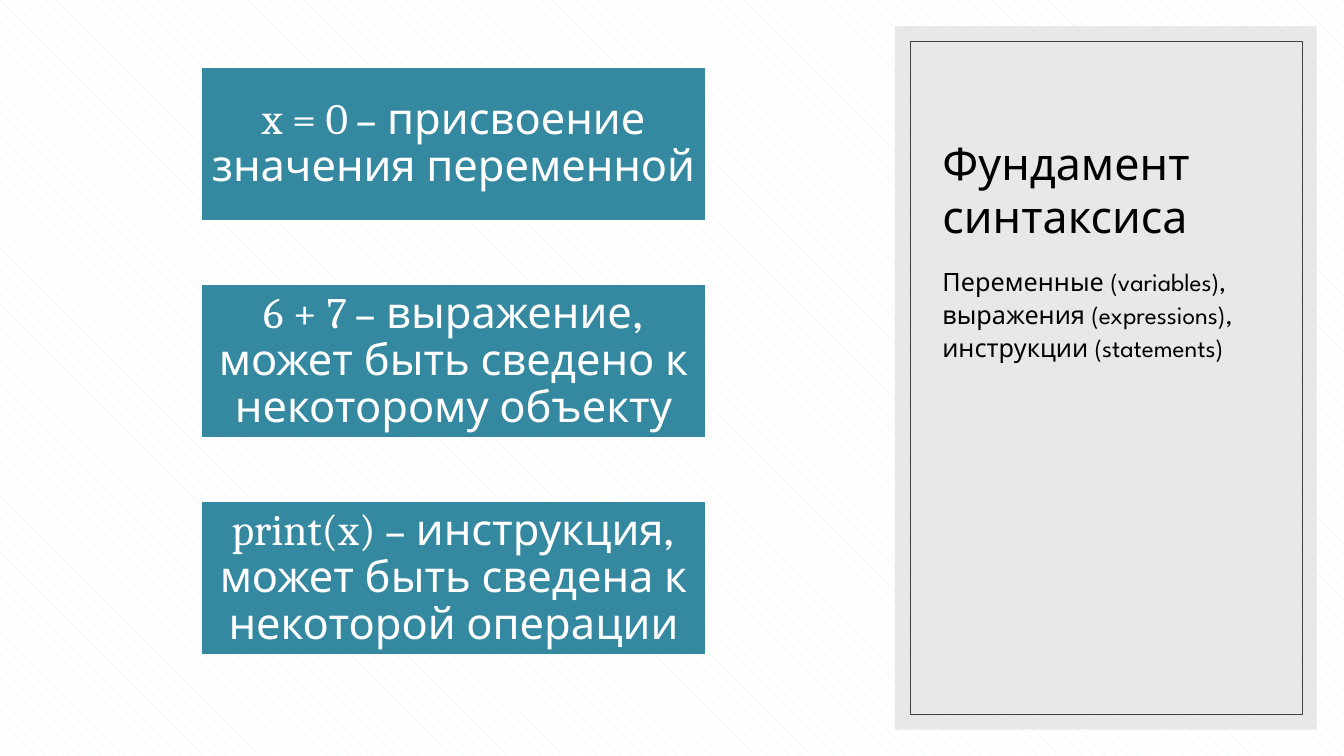
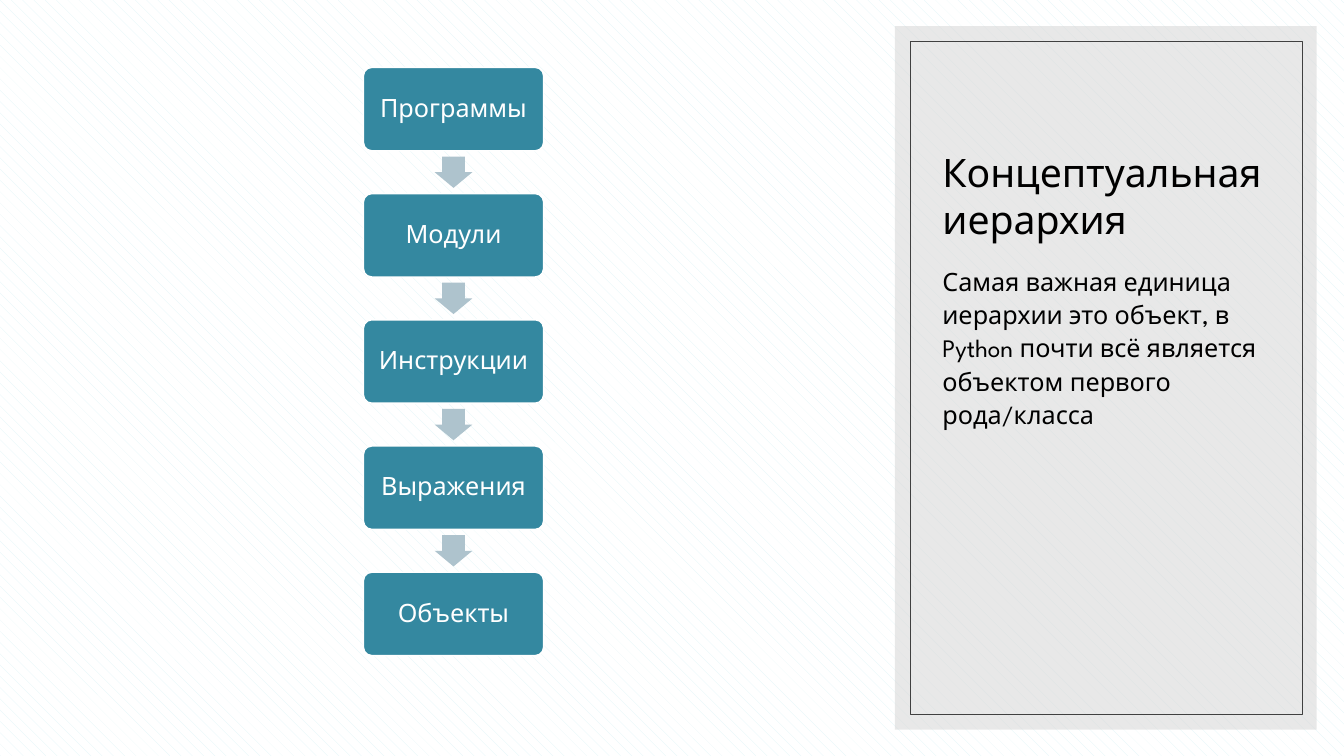
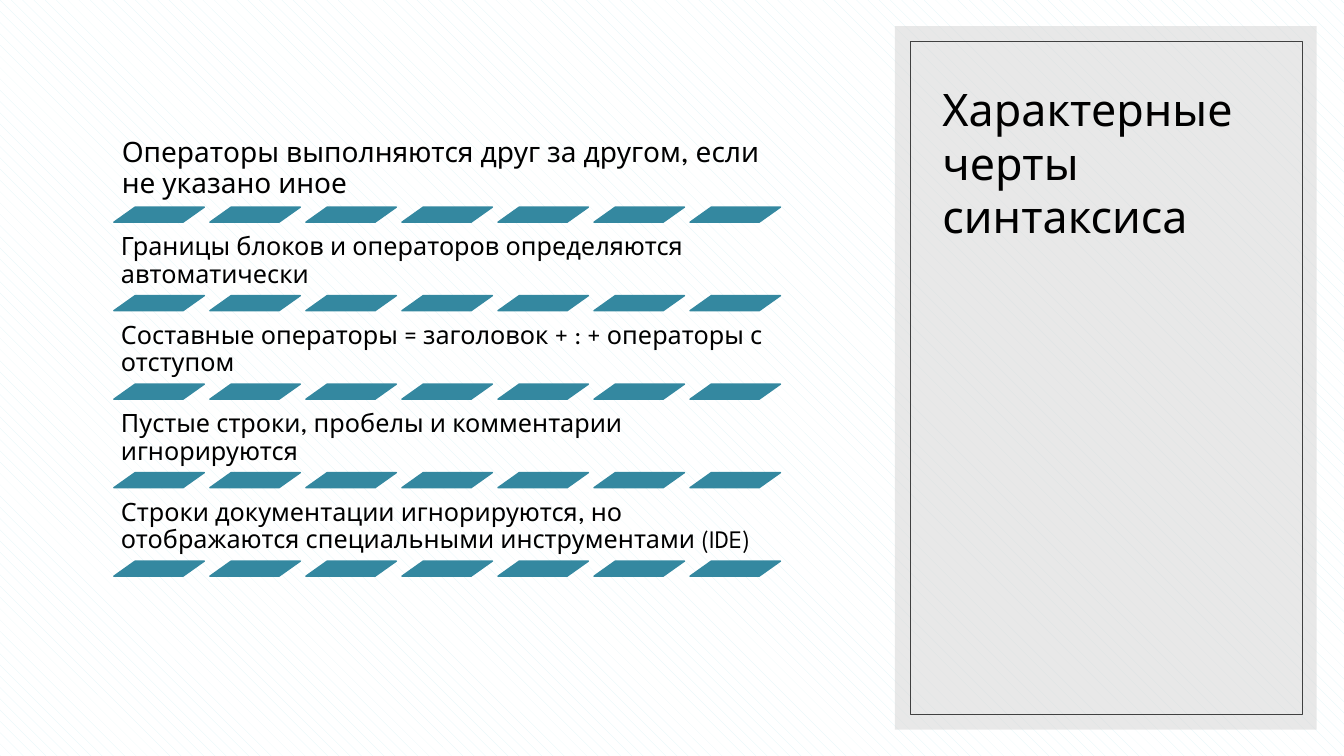
import pptx
import pptx.dml.color
import pptx.enum.dml
import pptx.enum.shapes
import pptx.enum.text
import pptx.oxml
import pptx.oxml.ns
import pptx.util

Cm, Pt = pptx.util.Cm, pptx.util.Pt
RGBColor = pptx.dml.color.RGBColor
SHAPE = pptx.enum.shapes.MSO_SHAPE
ANCHOR = pptx.enum.text.MSO_ANCHOR
ALIGN = pptx.enum.text.PP_ALIGN

# Content
SYNTAX = {
    "title": "Фундамент синтаксиса",
    "body": "Переменные (variables),\nвыражения (expressions), инструкции (statements)",
    "boxes": [
        ("x = 0 ", "– присвоение значения переменной"),
        ("6 + 7 ", "– выражение, может быть сведено к некоторому объекту"),
        ("print(x)", " – инструкция, может быть сведена к некоторой операции"),
    ],
}
HIERARCHY = {
    "title": "Концептуальная иерархия",
    "body": "Самая важная единица иерархии это объект, в Python почти всё "
            "является объектом первого рода/класса",
    "levels": ["Программы", "Модули", "Инструкции", "Выражения", "Объекты"],
}
FEATURES = {
    "title": "Характерные черты синтаксиса",
    "rows": [
        ("Операторы выполняются друг за другом, если не указано иное", 20),
        ("Границы блоков и операторов определяются автоматически", 18),
        ("Составные операторы = заголовок + : + операторы с отступом", 18),
        ("Пустые строки, пробелы и комментарии игнорируются", 18),
        ("Строки документации игнорируются, но отображаются "
         "специальными инструментами (IDE)", 18),
    ],
}

# Shared style
TEAL = RGBColor(0x34, 0x88, 0xA0)
ARROW = RGBColor(0xAE, 0xC3, 0xCD)
PANEL = RGBColor(0xD9, 0xD9, 0xD9)
FRAME = RGBColor(0x40, 0x40, 0x40)
HATCH = RGBColor(0xDE, 0xF4, 0xF7)
WHITE = RGBColor(0xFF, 0xFF, 0xFF)
BLACK = RGBColor(0, 0, 0)
FONT, CODE_FONT = "League Spartan", "Cambria"

CENTER_X = 11.43    # axis of the diagrams, cm
DIAGRAM_TOP = 1.7


def add_shape(s, kind, x, y, w, h, fill=None, line=None, width=1, adj=()):
    sp = s.shapes.add_shape(kind, Cm(x), Cm(y), Cm(w), Cm(h))
    sp.shadow.inherit = False
    for i, value in enumerate(adj):
        sp.adjustments[i] = value
    if fill is None:
        sp.fill.background()
    else:
        sp.fill.solid()
        sp.fill.fore_color.rgb = fill
    if line is None:
        sp.line.fill.background()
    else:
        sp.line.color.rgb = line
        sp.line.width = Pt(width)
    return sp


def set_text(sp, *texts, fonts=(FONT,), size=18, color=BLACK, align=ALIGN.LEFT,
             anchor=ANCHOR.TOP, spacing=1.0, inset=(0.25, 0.13)):
    """Write the texts as runs of one paragraph, one font for each."""
    tf = sp.text_frame
    tf.word_wrap = True
    tf.vertical_anchor = anchor
    tf.margin_left = tf.margin_right = Cm(inset[0])
    tf.margin_top = tf.margin_bottom = Cm(inset[1])
    p = tf.paragraphs[0]
    p.alignment = align
    p.line_spacing = spacing
    for text, font in zip(texts, fonts):
        for i, line in enumerate(text.split("\n")):
            if i:
                p.add_line_break()
            r = p.add_run()
            r.text = line
            r.font.name = font
            r.font.size = Pt(size)
            r.font.color.rgb = color


def add_box(s, x, y, w, h):
    return s.shapes.add_textbox(Cm(x), Cm(y), Cm(w), Cm(h))


def new_slide(prs, title, body=None, title_size=32):
    s = prs.slides.add_slide(prs.slide_layouts[6])
    fill = s.background.fill
    fill.patterned()
    fill.pattern = pptx.enum.dml.MSO_PATTERN.SHINGLE
    fill.fore_color.rgb = HATCH
    fill.back_color.rgb = WHITE

    # Side panel with its thin frame
    panel = add_shape(s, SHAPE.RECTANGLE, 22.55, 0.66, 10.63, 17.73, fill=PANEL)
    color = panel.fill._xPr.find(".//" + pptx.oxml.ns.qn("a:srgbClr"))
    color.append(pptx.oxml.parse_xml(
        "<a:alpha %s val='60000'/>" % pptx.oxml.ns.nsdecls("a")))
    add_shape(s, SHAPE.RECTANGLE, 22.94, 1.04, 9.88, 16.97, line=FRAME, width=0.5)

    set_text(add_box(s, 23.5, 1.68, 8.79, 4.57), title, size=title_size,
             anchor=ANCHOR.BOTTOM)
    if body:
        set_text(add_box(s, 23.5, 6.5, 8.79, 10), body, spacing=1.1)
    return s


def syntax_slide(prs):
    s = new_slide(prs, SYNTAX["title"], SYNTAX["body"])
    w, h, pitch = 12.7, 3.86, 5.47
    for i, texts in enumerate(SYNTAX["boxes"]):
        sp = add_shape(s, SHAPE.RECTANGLE, CENTER_X - w / 2, DIAGRAM_TOP + i * pitch,
                       w, h, fill=TEAL, line=WHITE)
        set_text(sp, *texts, fonts=(CODE_FONT, FONT), size=31, color=WHITE,
                 align=ALIGN.CENTER, anchor=ANCHOR.MIDDLE, spacing=0.9,
                 inset=(0.05, 0.05))


def hierarchy_slide(prs):
    s = new_slide(prs, HIERARCHY["title"], HIERARCHY["body"], title_size=28)
    w, h, pitch = 4.54, 2.1, 3.18
    arrow_w, arrow_h = 0.95, 0.79
    for i, level in enumerate(HIERARCHY["levels"]):
        y = DIAGRAM_TOP + i * pitch
        if i:
            # Arrow in the middle of the gap above this level
            add_shape(s, SHAPE.DOWN_ARROW, CENTER_X - arrow_w / 2,
                      y - (pitch - h + arrow_h) / 2, arrow_w, arrow_h,
                      fill=ARROW, adj=(0.6, 0.5))
        sp = add_shape(s, SHAPE.ROUNDED_RECTANGLE, CENTER_X - w / 2, y, w, h,
                       fill=TEAL, line=WHITE, adj=(0.1,))
        set_text(sp, level, color=WHITE, align=ALIGN.CENTER,
                 anchor=ANCHOR.MIDDLE, spacing=0.9, inset=(0.18, 0.18))


def features_slide(prs):
    s = new_slide(prs, FEATURES["title"])
    left, top, text_w, text_h, pitch = 2.87, 3.66, 17.12, 1.56, 2.23
    dashes, dash_w, dash_h, dash_pitch = 7, 2.28, 0.38, 2.42
    for i, (text, size) in enumerate(FEATURES["rows"]):
        y = top + i * pitch
        inset = size / 100
        set_text(add_box(s, left, y, text_w, text_h), text, size=size,
                 anchor=ANCHOR.BOTTOM, spacing=0.9, inset=(inset, inset))
        for j in range(dashes):
            add_shape(s, SHAPE.PARALLELOGRAM, left + j * dash_pitch, y + text_h,
                      dash_w, dash_h, fill=TEAL, line=TEAL, adj=(1.41,))


def main():
    prs = pptx.Presentation()
    prs.slide_width, prs.slide_height = Cm(33.87), Cm(19.05)
    syntax_slide(prs)
    hierarchy_slide(prs)
    features_slide(prs)
    prs.save("out.pptx")


if __name__ == "__main__":
    main()
